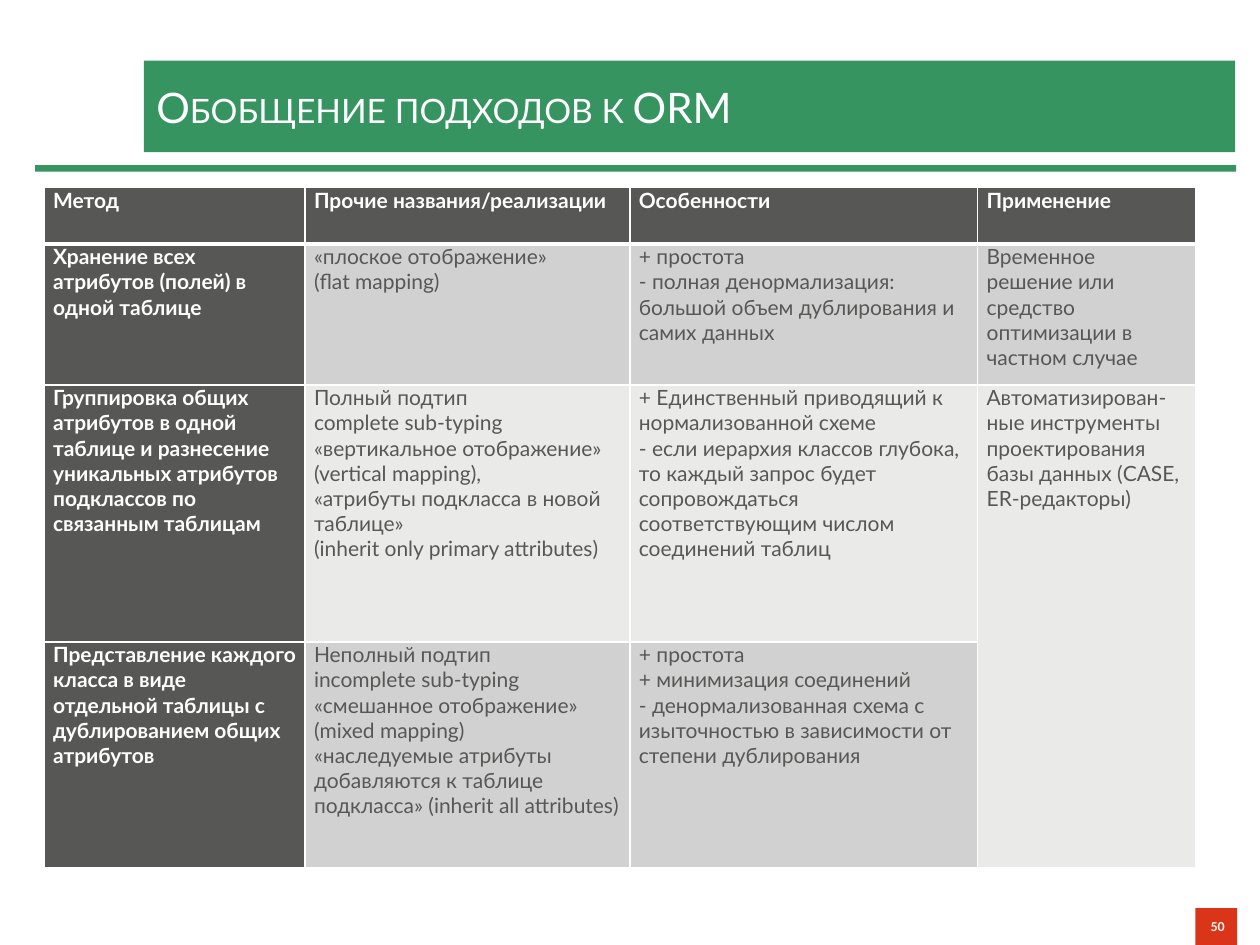
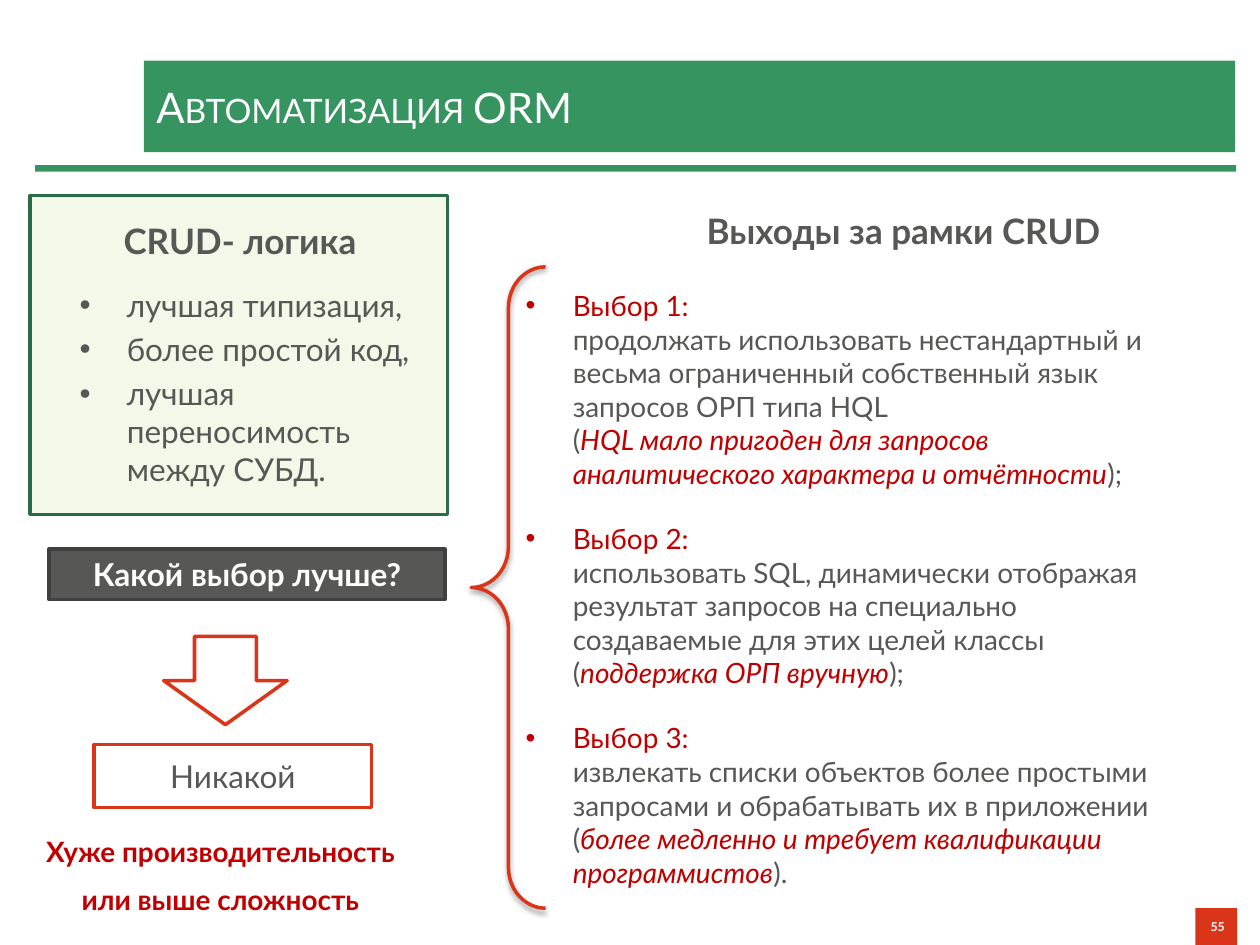
from copy import deepcopy

from lxml import etree
from pptx import Presentation
from pptx.dml.color import RGBColor
from pptx.enum.shapes import MSO_SHAPE as SHAPE
from pptx.enum.text import MSO_ANCHOR as ANCHOR, MSO_AUTO_SIZE as AUTO, PP_ALIGN as ALIGN
from pptx.oxml import parse_xml
from pptx.oxml.ns import nsdecls, qn
from pptx.util import Cm, Pt

COLORS = {
    "green": "369461", "dark_green": "286D48", "lime": "90C226",
    "red": "DB3519", "dark_red": "C00000", "white": "FFFFFF",
    "gray": "575756", "dark_gray": "404040", "band": "D1D1D1", "light": "EAEAE9",
}
RGB = {name: RGBColor.from_string(value) for name, value in COLORS.items()}


def write(tf, paras, color="gray", font=None, para=None, **frame):
    """Fill a text frame; a paragraph is a string or a list of (text, colour, italic)."""
    for name, value in {"word_wrap": True, "auto_size": AUTO.NONE, **frame}.items():
        setattr(tf, name, value)
    for i, runs in enumerate(paras):
        p = tf.paragraphs[0] if i == 0 else tf.add_paragraph()
        for name, value in {"alignment": ALIGN.LEFT, **(para or {})}.items():
            setattr(p, name, value)
        if i == 0:
            p.space_before = Pt(0)
        if isinstance(runs, str):
            runs = [(runs, color, None)]
        for text, run_color, italic in runs:
            for k, line in enumerate(text.split("\n")):
                if k:
                    p.add_line_break()
                    # A break keeps the text size of the run before it
                    p._p.findall(qn("a:br"))[-1].append(deepcopy(r._r.rPr))
                if not line:
                    continue
                r = p.add_run()
                r.text = line
                r.font.color.rgb = RGB[run_color]
                for name, value in {"name": "Lato", "italic": italic, **(font or {})}.items():
                    setattr(r.font, name, value)


def add_box(s, kind, place, fill=None, line=None):
    """Add a flat preset shape; place is left, top, width, height in cm."""
    sp = s.shapes.add_shape(kind, *map(Cm, place))
    sp.shadow.inherit = False
    if fill:
        sp.fill.solid()
        sp.fill.fore_color.rgb = RGB[fill]
    else:
        sp.fill.background()
    if line:
        sp.line.color.rgb = RGB[line]
        sp.line.width = Pt(2)
    else:
        sp.line.fill.background()
    return sp


prs = Presentation()
prs.slide_width, prs.slide_height = Cm(25.4), Cm(19.05)

# Shared frame: title band, green rule, page number
slides = []
for layout, title, page in [(5, "Обобщение подходов к ORM", "50"),
                            (4, "Автоматизация ORM", "55")]:
    s = prs.slides.add_slide(prs.slide_layouts[layout])
    slides.append(s)
    add_box(s, SHAPE.RECTANGLE, (0.71, 3.33, 24.21, 0.13), "green")
    sp = s.shapes.title
    sp.left, sp.top, sp.width, sp.height = map(Cm, (2.9, 1.22, 22, 1.85))
    sp.fill.solid()
    sp.fill.fore_color.rgb = RGB["green"]
    write(sp.text_frame, [title], "white", {"size": Pt(24)},
          vertical_anchor=ANCHOR.MIDDLE, margin_left=Cm(0.25), margin_right=Cm(0.25),
          margin_top=Cm(0.3), margin_bottom=Cm(0.3))
    sp.text_frame.paragraphs[0].runs[0]._r.rPr.set("cap", "small")
    sp = add_box(s, SHAPE.RECTANGLE, (24.1, 18.31, 0.84, 0.74), "red")
    write(sp.text_frame, [page], "white", {"size": Pt(7), "bold": True},
          {"alignment": ALIGN.RIGHT}, vertical_anchor=ANCHOR.MIDDLE)

# Slide 1: table of mapping methods
s = slides[0]
methods = [
    [["Метод"], ["Прочие названия/реализации"], ["Особенности"], ["Применение"]],
    [["Хранение всех атрибутов (полей) в одной таблице"],
     ["«плоское отображение»\n(flat mapping)"],
     ["+ простота",
      "- полная денормализация: большой объем дублирования и самих данных"],
     ["Временное решение или средство оптимизации в частном случае"]],
    [["Группировка общих атрибутов в одной таблице и разнесение уникальных "
      "атрибутов подклассов по связанным таблицам"],
     ["Полный подтип", "complete sub-typing", "«вертикальное отображение»",
      "(vertical mapping),",
      "«атрибуты подкласса в новой таблице»\n(inherit only primary attributes)"],
     ["+ Единственный приводящий к нормализованной схеме",
      "- если иерархия классов глубока, то каждый запрос будет сопровождаться "
      "соответствующим числом соединений таблиц"],
     ["Автоматизирован-ные инструменты проектирования базы данных "
      "(CASE, ER-редакторы)"]],
    [["Представление каждого класса в виде отдельной таблицы с дублированием "
      "общих атрибутов"],
     ["Неполный подтип", "incomplete sub-typing",
      "«смешанное отображение» (mixed mapping)",
      "«наследуемые атрибуты добавляются к таблице подкласса» "
      "(inherit all attributes)"],
     ["+ простота", "+ минимизация соединений",
      "- денормализованная схема с изыточностью в зависимости от степени "
      "дублирования"],
     []],
]
widths, heights = (5.26, 6.55, 7.01, 4.39), (1.14, 2.84, 5.18, 4.55)
table = s.shapes.add_table(4, 4, Cm(0.89), Cm(3.78),
                           Cm(sum(widths)), Cm(sum(heights))).table
for col, width in zip(table.columns, widths):
    col.width = Cm(width)
for row, height in zip(table.rows, heights):
    row.height = Cm(height)
table.cell(2, 3).merge(table.cell(3, 3))

for i, row in enumerate(methods):
    for j, paras in enumerate(row):
        cell = table.cell(i, j)
        head = i == 0 or j == 0
        for name, value in {"margin_left": Cm(0.18), "margin_right": Cm(0.18),
                            "margin_top": 0, "margin_bottom": 0}.items():
            setattr(cell, name, value)
        # White borders, thick under the header row
        for side in "LRTB":
            thick = (i, side) in [(0, "B"), (1, "T")]
            cell._tc.get_or_add_tcPr().append(parse_xml(
                f'<a:ln{side} {nsdecls("a")} w="{Pt(3 if thick else 1)}"><a:solidFill>'
                f'<a:srgbClr val="{COLORS["white"]}"/></a:solidFill></a:ln{side}>'))
        cell.fill.solid()
        cell.fill.fore_color.rgb = RGB["gray" if head else "band" if i % 2 else "light"]
        write(cell.text_frame, paras, "white" if head else "gray",
              {"size": Pt(12), "bold": head})

# Slide 2: translucent panel behind the left column
s = slides[1]
panel = add_box(s, SHAPE.RECTANGLE, (0.61, 3.94, 8.41, 6.43), "lime", "dark_green")
color = panel._element.spPr.find(qn("a:solidFill"))[0]
etree.SubElement(color, qn("a:alpha")).set("val", "10000")
panel._element.getparent().insert(2, panel._element)

# Headings and lists
choices = [
    [("Выбор 1:\n", "dark_red", None),
     ("продолжать использовать нестандартный и весьма ограниченный собственный "
      "язык запросов ОРП типа HQL\n(", "gray", None),
     ("HQL мало пригоден для запросов аналитического характера и отчётности",
      "dark_red", True),
     (");", "gray", None)],
    [("Выбор 2:\n", "dark_red", None),
     ("использовать SQL, динамически отображая результат запросов на специально "
      "создаваемые для этих целей классы (", "gray", None),
     ("поддержка ОРП вручную", "dark_red", True),
     (");", "gray", None)],
    [("Выбор 3:\n", "dark_red", None),
     ("извлекать списки объектов более простыми запросами и обрабатывать их в "
      "приложении\n(", "gray", None),
     ("более медленно и требует квалификации программистов", "dark_red", True),
     (").", "gray", None)],
]
benefits = ["лучшая типизация,", "более простой код,",
            "лучшая переносимость между СУБД."]
heading = {"size": Pt(20), "bold": True}
center = {"alignment": ALIGN.CENTER}
for idx, place, paras, font, para, anchor in [
    (1, (1.5, 4.04, 6.68, 1.6), ["CRUD- логика"], heading, center, ANCHOR.MIDDLE),
    (2, (1.35, 5.64, 7.98, 5.08), benefits, {"size": Pt(18)},
     {"space_before": Pt(3.6)}, ANCHOR.TOP),
    (3, (13.06, 4.09, 10.31, 1.6), ["Выходы за рамки CRUD"], heading, center, ANCHOR.TOP),
    (4, (10.34, 5.69, 13.77, 12.37), choices, {"size": Pt(16)},
     {"space_before": Pt(18)}, ANCHOR.TOP),
]:
    sp = s.placeholders[idx]
    sp.left, sp.top, sp.width, sp.height = map(Cm, place)
    write(sp.text_frame, paras, "gray", font, para, vertical_anchor=anchor)

# Brace with a soft shadow
brace = add_box(s, SHAPE.LEFT_BRACE, (9.5, 5.38, 1.5, 12.93), line="red")
brace.adjustments[0], brace.adjustments[1] = 0.55, 0.5
brace._element.spPr.find(qn("a:effectLst")).append(parse_xml(
    f'<a:outerShdw {nsdecls("a")} blurRad="{Pt(3)}" dist="{Pt(1.6)}" dir="5400000" '
    'rotWithShape="0"><a:srgbClr val="000000"><a:alpha val="38000"/></a:srgbClr>'
    '</a:outerShdw>'))

# Question, arrow, answer
add_box(s, SHAPE.DOWN_ARROW, (3.3, 12.83, 2.49, 1.78), "white", "red")
for place, fill, line, text, color, bold in [
    ((0.99, 11.07, 7.98, 1.02), "gray", "dark_gray", "Какой выбор лучше?", "white", True),
    ((1.9, 15.01, 5.59, 1.27), "white", "red", "Никакой", "gray", False),
]:
    sp = add_box(s, SHAPE.RECTANGLE, place, fill, line)
    write(sp.text_frame, [text], color, {"size": Pt(18), "bold": bold}, center,
          vertical_anchor=ANCHOR.MIDDLE)

# Verdict
sp = s.shapes.add_textbox(*map(Cm, (-0.05, 16.64, 8.99, 2.03)))
write(sp.text_frame, ["Хуже производительность", "или выше сложность"], "dark_red",
      {"size": Pt(16), "bold": True},
      {**center, "line_spacing": 1.1, "space_before": Pt(6)})

prs.save("out.pptx")
